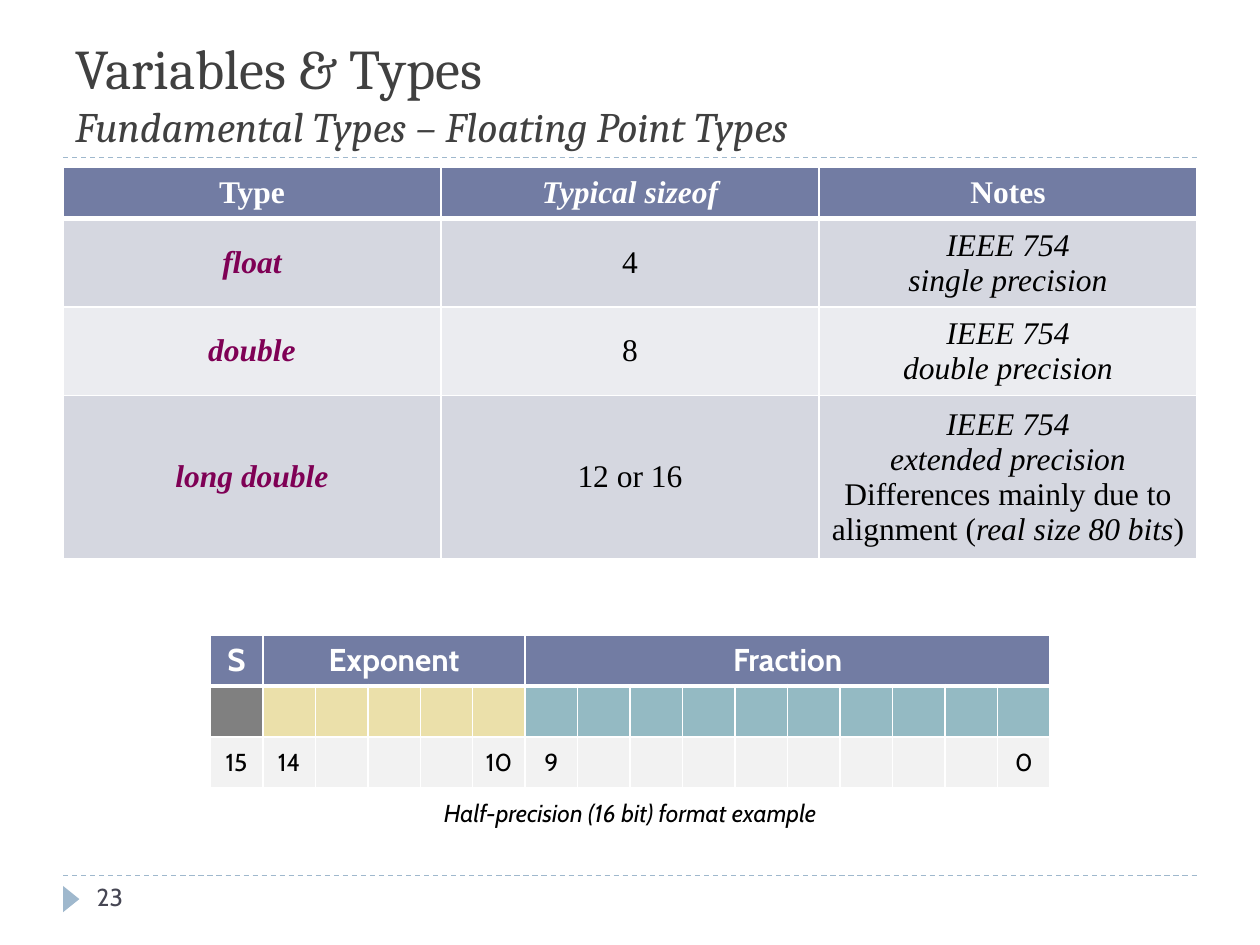
import pptx
import pptx.dml.color
import pptx.enum.dml
import pptx.enum.shapes
import pptx.enum.text
import pptx.oxml
import pptx.oxml.ns
import pptx.util
from pptx.util import Cm

SERIF, SANS, HEADING = "Times New Roman", "Cabin", "Cambria"
WHITE, BLACK, KEYWORD, ACCENT = "FFFFFF", "000000", "7F0055", "9FB8CD"
HEADER, BAND_DARK, BAND_LIGHT = "727CA3", "D5D7E0", "EBECF0"
SIGN, EXPONENT, FRACTION, BIT_LABEL = "808080", "EBE0AA", "94BAC3", "F2F2F2"
MIDDLE = pptx.enum.text.MSO_ANCHOR.MIDDLE
CENTER = pptx.enum.text.PP_ALIGN.CENTER


def color(code):
    return pptx.dml.color.RGBColor.from_string(code)


def write(para, text, font=SERIF, size=18, ink=BLACK, bold=False, italic=False):
    span = para.add_run()
    span.text = text
    span.font.name = font
    span.font.size = pptx.util.Pt(size)
    span.font.color.rgb = color(ink)
    span.font.bold = bold
    span.font.italic = italic


def add_borders(cell, bottom):
    """Draw white borders, 1 pt wide except for the given bottom width."""
    properties = cell._tc.get_or_add_tcPr()
    widths = {"lnL": 1, "lnR": 1, "lnT": 1, "lnB": bottom}
    for position, (tag, width) in enumerate(widths.items()):
        properties.insert(position, pptx.oxml.parse_xml(
            f'<a:{tag} {pptx.oxml.ns.nsdecls("a")} w="{width * 12700}"><a:solidFill>'
            f'<a:srgbClr val="{WHITE}"/></a:solidFill></a:{tag}>'))


class SlideBuilder:
    def __init__(self, page):
        self.page = page

    def rule(self, top):
        line = self.page.shapes.add_connector(
            pptx.enum.shapes.MSO_CONNECTOR.STRAIGHT, Cm(1.27), Cm(top), Cm(24.13), Cm(top))
        line.line.color.rgb = color(ACCENT)
        line.line.width = pptx.util.Pt(0.75)
        line.line.dash_style = pptx.enum.dml.MSO_LINE.DASH
        line._element.spPr.append(
            pptx.oxml.parse_xml(f'<a:effectLst {pptx.oxml.ns.nsdecls("a")}/>'))

    def marker(self, left, top, width, height):
        """Add a small triangle that points right."""
        shape = self.page.shapes.add_shape(
            pptx.enum.shapes.MSO_SHAPE.ISOSCELES_TRIANGLE,
            Cm(left), Cm(top), Cm(width), Cm(height))
        shape.rotation = 90
        shape.shadow.inherit = False
        shape.fill.solid()
        shape.fill.fore_color.rgb = color(ACCENT)
        shape.line.fill.background()

    def text(self, left, top, width, height, anchor=pptx.enum.text.MSO_ANCHOR.TOP):
        """Add a text box and return its first paragraph."""
        box = self.page.shapes.add_textbox(Cm(left), Cm(top), Cm(width), Cm(height))
        box.text_frame.word_wrap = True
        box.text_frame.vertical_anchor = anchor
        return box.text_frame.paragraphs[0]

    def table(self, left, top, width, columns, heights):
        """Add a table with equal columns, a thick line under its first row and no fill."""
        table = self.page.shapes.add_table(
            len(heights), columns, Cm(left), Cm(top), Cm(width), Cm(sum(heights))).table
        table.first_row = table.horz_banding = False
        for column in table.columns:
            column.width = Cm(width / columns)
        for number, (row, height) in enumerate(zip(table.rows, heights)):
            row.height = Cm(height)
            for cell in row.cells:
                cell.fill.background()
                cell.vertical_anchor = MIDDLE
                add_borders(cell, bottom=1 if number else 3)
        return table

    def fill(self, cell, code):
        cell.fill.solid()
        cell.fill.fore_color.rgb = color(code)

    def cell_text(self, cell, *lines, **style):
        """Write centred lines; each is a list of (text, format) pairs."""
        for number, line in enumerate(lines):
            frame = cell.text_frame
            para = frame.add_paragraph() if number else frame.paragraphs[0]
            para.alignment = CENTER
            for text, changes in line:
                write(para, text, **{**style, **changes})


def add_types_table(builder):
    table = builder.table(1.27, 3.38, 22.86, 3, [1.03, 1.66, 1.66, 3.05])
    headings = [("Type", {}), ("Typical sizeof", {"italic": True}), ("Notes", {})]
    for column, heading in enumerate(headings):
        builder.fill(table.cell(0, column), HEADER)
        builder.cell_text(table.cell(0, column), [heading], ink=WHITE, bold=True)

    slanted = {"italic": True}
    remark = [("Differences mainly due to alignment (", {}),
              ("real size 80 bits", slanted), (")", {})]
    types = [("float", "4", "single precision", []),
             ("double", "8", "double precision", []),
             ("long double", "12 or 16", "extended precision", [remark])]
    for row, (name, size, precision, remarks) in enumerate(types, 1):
        for column in range(3):
            builder.fill(table.cell(row, column), BAND_DARK if row % 2 else BAND_LIGHT)
        builder.cell_text(table.cell(row, 0), [(name, slanted)], ink=KEYWORD, bold=True)
        builder.cell_text(table.cell(row, 1), [(size, {})])
        builder.cell_text(table.cell(row, 2), [("IEEE 754", slanted)],
                          [(precision, slanted)], *remarks)


def add_bit_layout(builder):
    bits = 16
    table = builder.table(4.24, 12.8, 16.93, bits, [1.03] * 4)
    start = 0
    for name, length, tint in [("S", 1, SIGN), ("Exponent", 5, EXPONENT),
                               ("Fraction", 10, FRACTION)]:
        end = start + length - 1
        for column in range(start, end + 1):
            for row, code in enumerate([HEADER, tint, BIT_LABEL]):
                builder.fill(table.cell(row, column), code)
        if length > 1:
            table.cell(0, start).merge(table.cell(0, end))
        builder.cell_text(table.cell(0, start), [(name, {})],
                          font=SANS, ink=WHITE, bold=True)
        for column in sorted({start, end}):
            builder.cell_text(table.cell(2, column), [(str(bits - 1 - column), {})],
                              font=SANS, size=14)
        start = end + 1
    table.cell(3, 0).merge(table.cell(3, bits - 1))
    builder.cell_text(table.cell(3, 0), [("Half-precision (16 bit) format example", {})],
                      font=SANS, size=14, italic=True)


def main():
    deck = pptx.Presentation()
    deck.slide_width, deck.slide_height = Cm(25.4), Cm(19.05)
    builder = SlideBuilder(deck.slides.add_slide(deck.slide_layouts[6]))

    builder.rule(17.65)
    builder.rule(3.18)
    builder.marker(1.17, 17.96, 0.53, 0.33)

    title = builder.text(1.27, 0.43, 22.86, 2.74, pptx.enum.text.MSO_ANCHOR.BOTTOM)
    write(title, "Variables & Types", font=HEADING, size=32, ink="404040")
    title.add_line_break()
    write(title, "Fundamental Types – Floating Point Types",
          font=HEADING, size=24, ink="404040", italic=True)

    add_types_table(builder)
    write(builder.text(1.7, 17.65, 5.51, 1.02), "23", font=SANS, size=14, ink="464653")
    add_bit_layout(builder)
    deck.save("out.pptx")


if __name__ == "__main__":
    main()
